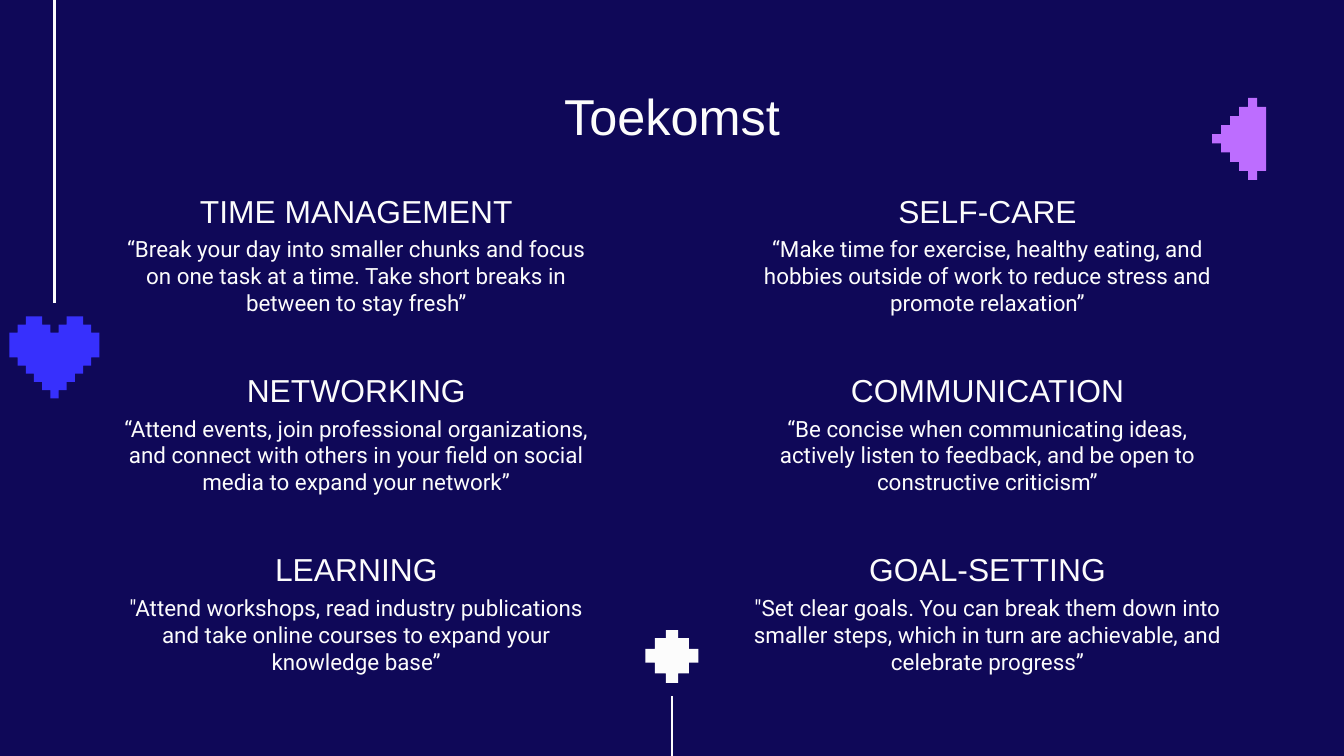
from dataclasses import dataclass

from lxml.etree import SubElement
from pptx import Presentation
from pptx.dml.color import RGBColor as RGB
from pptx.enum.shapes import MSO_CONNECTOR as CONN
from pptx.enum.text import MSO_ANCHOR as ANCHOR, PP_ALIGN as ALIGN
from pptx.oxml.ns import qn
from pptx.util import Cm, Pt


@dataclass(frozen=True)
class Theme:
    back: RGB = RGB(0x0F, 0x08, 0x58)
    light: RGB = RGB(0xFC, 0xFC, 0xFC)
    blue: RGB = RGB(0x37, 0x30, 0xFD)
    purple: RGB = RGB(0xBD, 0x6D, 0xFF)
    title: tuple = ("Arial", 27)
    heading: tuple = ("Arial", 17)
    body: tuple = ("Roboto", 12)
    line_width: float = 1.5


class Deck:
    def __init__(self, prs, theme):
        self.theme = theme
        self.s = prs.slides.add_slide(prs.slide_layouts[6])
        fill = self.s.background.fill
        fill.solid()
        fill.fore_color.rgb = theme.back

    def text(self, text, box, style, anchor=ANCHOR.TOP):
        tf = self.s.shapes.add_textbox(*map(Cm, box)).text_frame
        margins = ("margin_left", "margin_top", "margin_right", "margin_bottom")
        frame = {"word_wrap": True, "vertical_anchor": anchor}
        frame.update({m: Cm(0.25) for m in margins})
        for name, value in frame.items():
            setattr(tf, name, value)
        p = tf.paragraphs[0]
        p.alignment = ALIGN.CENTER
        r = p.add_run()
        r.text = text
        font, size = style
        for name, value in {"name": font, "size": Pt(size)}.items():
            setattr(r.font, name, value)
        r.font.color.rgb = self.theme.light

    def line(self, x, y1, y2):
        sp = self.s.shapes.add_connector(CONN.STRAIGHT, *map(Cm, (x, y1, x, y2)))
        sp.line.color.rgb = self.theme.light
        sp.line.width = Pt(self.theme.line_width)
        SubElement(sp._element.spPr, qn("a:effectLst"))

    def pixels(self, outlines, grid, box, color):
        x, y, w, h = map(Cm, box)
        shapes = self.s.shapes
        if len(outlines) > 1:
            shapes = shapes.add_group_shape().shapes
        for points in outlines:
            fb = shapes.build_freeform(*points[0], scale=(w / grid[0], h / grid[1]))
            fb.add_line_segments(points[1:], close=True)
            sp = fb.convert_to_shape(x, y)
            sp.shadow.inherit = False
            sp.fill.solid()
            sp.fill.fore_color.rgb = color
            sp.line.fill.background()


def mirror_x(half, cols):
    return half + [(cols - x, y) for x, y in reversed(half)]


def mirror_y(half, rows):
    return half + [(x, rows - y) for x, y in reversed(half)]


def cell(x, y, rows=1):
    return [(x + 1, y), (x + 1, y + rows), (x, y + rows), (x, y)]


HEART = [(5, 2), (5, 1), (4, 1), (4, 0), (2, 0), (2, 1), (1, 1), (1, 2), (0, 2), (0, 5),
         (1, 5), (1, 6), (2, 6), (2, 7), (3, 7), (3, 8), (4, 8), (4, 9), (5, 9), (5, 10)]
ARROW = [(0, 4), (1, 4), (1, 3), (2, 3), (2, 2), (3, 2), (3, 1), (4, 1), (4, 0), (5, 0),
         (5, 1), (6, 1)]
ARROW_CELLS = [cell(x, y) for x in range(5) for y in sorted({4 - x, 4 + x})]
DOT = [(15, 0), (15, 6), (7, 6), (7, 14), (0, 14), (0, 24), (7, 24), (7, 32), (15, 32),
       (15, 39)]

TIPS = [
    ("TIME MANAGEMENT", "“Break your day into smaller chunks and focus on one task at a time. "
     "Take short breaks in between to stay fresh”"),
    ("SELF-CARE", "“Make time for exercise, healthy eating, and hobbies outside of work "
     "to reduce stress and promote relaxation”"),
    ("NETWORKING", "“Attend events, join professional organizations, and connect with others "
     "in your field on social media to expand your network”"),
    ("COMMUNICATION", "“Be concise when communicating ideas, actively listen to feedback, "
     "and be open to constructive criticism”"),
    ("LEARNING", "\"Attend workshops, read industry publications and take online courses "
     "to expand your knowledge base”"),
    ("GOAL-SETTING", "\"Set clear goals. You can break them down into smaller steps, "
     "which in turn are achievable, and celebrate progress”"),
]
LEFT, TOP, COL_STEP, ROW_STEP, COL_W = 1.97, 3.09, 11.93, 3.39, 9.53


def main():
    prs = Presentation()
    prs.slide_width, prs.slide_height = Cm(25.4), Cm(14.29)
    theme = Theme()
    deck = Deck(prs, theme)

    deck.line(1.03, 0, 5.73)
    deck.pixels([mirror_x(HEART, 11)], (11, 10), (0.18, 5.98, 1.7, 1.55), theme.blue)
    deck.line(12.7, 14.29, 13.16)

    deck.text("Toekomst", (LEFT, 1.35, 21.46, 1.57), theme.title)
    for i, (heading, body) in enumerate(TIPS):
        row, col = divmod(i, 2)
        x, y = LEFT + col * COL_STEP, TOP + row * ROW_STEP
        deck.text(body, (x, y + 1.11, COL_W, 1.83), theme.body)
        deck.text(heading, (x, y, COL_W, 1.5), theme.heading, ANCHOR.BOTTOM)

    arrow = [mirror_y(ARROW, 9), *ARROW_CELLS, cell(5, 1, 7)]
    deck.pixels(arrow, (6, 9), (22.91, 1.85, 1.02, 1.55), theme.purple)
    deck.pixels([mirror_x(DOT, 39)], (39, 39), (12.2, 11.91, 1, 1), theme.light)
    prs.save("out.pptx")


if __name__ == "__main__":
    main()
